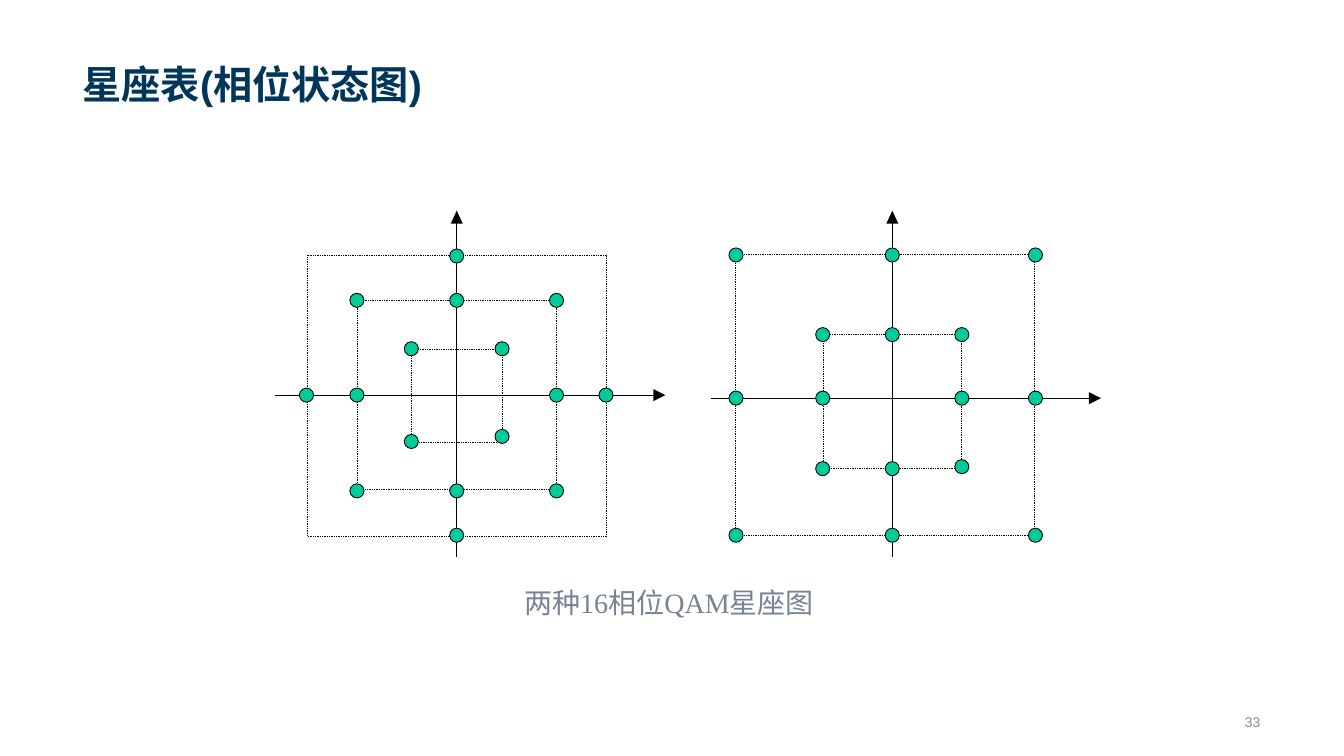
from lxml.etree import SubElement
from pptx import Presentation
from pptx.dml.color import RGBColor
from pptx.enum.dml import MSO_LINE
from pptx.enum.shapes import MSO_CONNECTOR, MSO_SHAPE
from pptx.enum.text import MSO_ANCHOR, PP_ALIGN
from pptx.oxml.ns import qn
from pptx.util import Inches, Pt

NAVY = RGBColor(0x00, 0x36, 0x59)
SLATE = RGBColor(0x76, 0x83, 0x94)
GRAY = RGBColor(0x8C, 0x8C, 0x8C)
GREEN = RGBColor(0x00, 0xCC, 0x99)
BLACK = RGBColor(0x00, 0x00, 0x00)
WHITE = RGBColor(0xFF, 0xFF, 0xFF)

AXIS_LENGTH = 3.77
AXIS_TOP, AXIS_BOTTOM = 2.19, 5.53
DOT_SIZE = 0.14


class ConstellationSlide:
    line_width = Pt(0.63)

    def __init__(self, deck):
        self.page = deck.slides.add_slide(deck.slide_layouts[5])

    def fill_text(self, box, words, size, color, font="Arial", bold=False,
                  align=PP_ALIGN.LEFT, anchor=MSO_ANCHOR.TOP):
        frame = box.text_frame
        frame.text = words
        frame.word_wrap = True
        frame.vertical_anchor = anchor
        para = frame.paragraphs[0]
        para.alignment = align
        para.font.name = font
        para.font.size = Pt(size)
        para.font.bold = bold
        para.font.color.rgb = color

    def title(self, words, left, top, width, height):
        box = self.page.shapes.title
        box.left, box.top = Inches(left), Inches(top)
        box.width, box.height = Inches(width), Inches(height)
        self.fill_text(box, words, 28, NAVY, bold=True, anchor=MSO_ANCHOR.BOTTOM)

    def text(self, words, left, top, width, height, *style, **options):
        box = self.page.shapes.add_textbox(
            Inches(left), Inches(top), Inches(width), Inches(height))
        self.fill_text(box, words, *style, **options)

    def shape(self, group, kind, left, top, width, height, fill):
        shape = group.shapes.add_shape(
            kind, Inches(left), Inches(top), Inches(width), Inches(height))
        shape.shadow.inherit = False
        shape.fill.solid()
        shape.fill.fore_color.rgb = fill
        shape.line.color.rgb = BLACK
        shape.line.width = self.line_width
        return shape

    def square(self, group, left, top, width, height):
        square = self.shape(group, MSO_SHAPE.RECTANGLE, left, top, width, height, WHITE)
        square.line.dash_style = MSO_LINE.ROUND_DOT

    def dot(self, group, x, y):
        self.shape(group, MSO_SHAPE.OVAL, x - DOT_SIZE / 2, y - DOT_SIZE / 2,
                   DOT_SIZE, DOT_SIZE, GREEN)

    def axis(self, group, start, end, arrowhead):
        line = group.shapes.add_connector(
            MSO_CONNECTOR.STRAIGHT, *(Inches(value) for value in start + end))
        line.line.color.rgb = BLACK
        line.line.width = self.line_width
        SubElement(line._element.spPr, qn("a:effectLst"))
        corners = [(Inches(x), Inches(y)) for x, y in arrowhead]
        builder = group.shapes.build_freeform(*corners[0])
        builder.add_line_segments(corners[1:], close=True)
        head = builder.convert_to_shape()
        head.shadow.inherit = False
        head.fill.solid()
        head.fill.fore_color.rgb = BLACK
        head.line.fill.background()

    def constellation(self, origin, axis_left, squares, columns):
        group = self.page.shapes.add_group_shape()
        x, y = origin
        right = axis_left + AXIS_LENGTH
        for square in squares:
            self.square(group, *square)
        self.axis(group, (axis_left, y), (right, y),
                  [(right - 0.02, y + 0.06), (right + 0.1, y), (right - 0.02, y - 0.06)])
        self.axis(group, (x, AXIS_BOTTOM), (x, AXIS_TOP),
                  [(x + 0.06, AXIS_TOP + 0.03), (x, AXIS_TOP - 0.1),
                   (x - 0.06, AXIS_TOP + 0.03)])
        for column, rows in columns.items():
            for row in rows:
                self.dot(group, column, row)


def main():
    deck = Presentation()
    deck.slide_width, deck.slide_height = Inches(13.33), Inches(7.5)
    slide = ConstellationSlide(deck)
    slide.title("星座表(相位状态图)", 0.72, 0.14, 11.88, 0.98)
    slide.text("33", 8.5, 7.01, 4.1, 0.3, 10, GRAY,
               align=PP_ALIGN.RIGHT, anchor=MSO_ANCHOR.MIDDLE)
    slide.constellation(
        origin=(4.53, 3.92), axis_left=2.73,
        squares=[(3.05, 2.53, 2.97, 2.79), (3.54, 2.98, 1.98, 1.88),
                 (4.08, 3.47, 0.9, 0.92)],
        columns={3.04: [3.92], 3.54: [2.98, 3.92, 4.87], 4.08: [3.46, 4.38],
                 4.53: [2.54, 2.98, 4.87, 5.31], 4.98: [3.46, 4.33],
                 5.52: [2.98, 3.92, 4.87], 6.01: [3.92]})
    slide.constellation(
        origin=(8.85, 3.95), axis_left=7.05,
        squares=[(7.29, 2.52, 2.97, 2.79), (8.17, 3.32, 1.37, 1.33)],
        columns={7.3: [2.53, 3.95, 5.31], 8.16: [3.32, 3.95, 4.65],
                 8.85: [2.53, 3.32, 4.65, 5.31], 9.54: [3.32, 3.95, 4.63],
                 10.27: [2.53, 3.95, 5.31]})
    slide.text("两种16相位QAM星座图", 5.1, 5.76, 3.1, 0.44, 20, SLATE,
               font="Times New Roman")
    deck.save("out.pptx")


if __name__ == "__main__":
    main()
